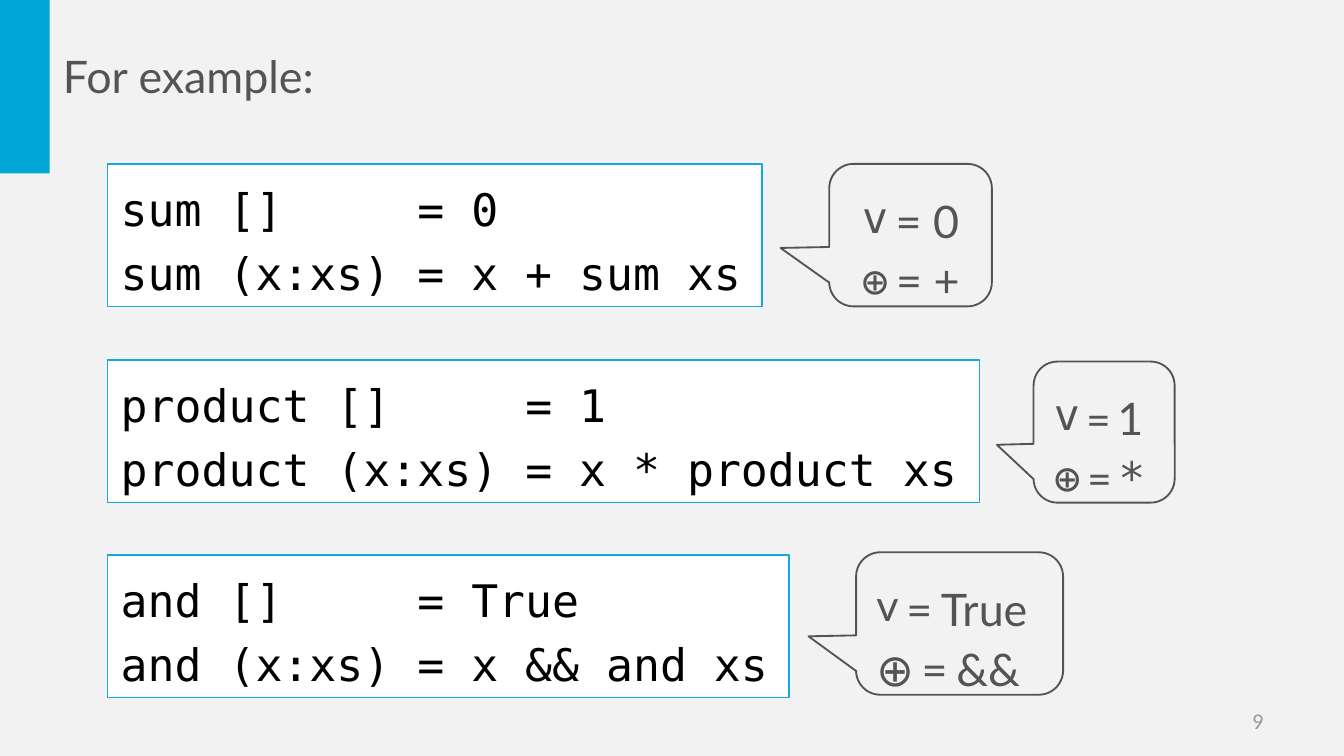
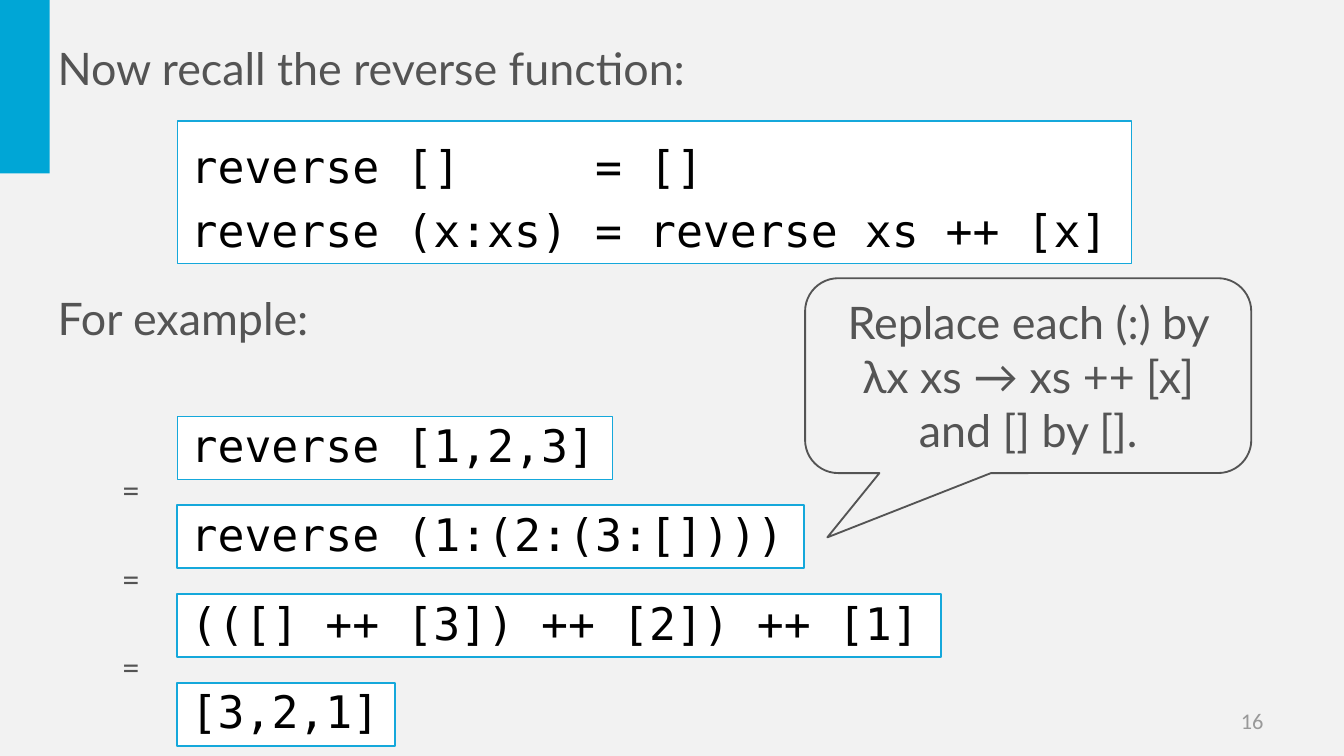
import pptx
import pptx.util
import pptx.dml.color
import pptx.enum.shapes
import pptx.enum.text
from dataclasses import dataclass

Inches = pptx.util.Inches
Pt = pptx.util.Pt
SHAPE = pptx.enum.shapes.MSO_SHAPE
ALIGN = pptx.enum.text.PP_ALIGN


@dataclass(frozen=True)
class Theme:
    page: str = "F2F2F2"
    band: str = "00A6D6"
    border: str = "15A8DB"
    paper: str = "FFFFFF"
    code: str = "000000"
    text: str = "545454"
    number: str = "999999"
    body_font: str = "Lato"
    mono_font: str = "DejaVu Sans Mono"
    plain_font: str = "Calibri"
    large: int = 24
    symbol: int = 40
    small: int = 18
    tiny: int = 12


T = Theme()


def rgb(color):
    return pptx.dml.color.RGBColor.from_string(color)


# Shared helpers: boxes are (left, top, width, height) in inches

def add_box(shapes, box, preset=None, fill=None, line=None, weight=0.75):
    lengths = [Inches(v) for v in box]
    if preset is None:
        return shapes.add_textbox(*lengths)
    sp = shapes.add_shape(preset, *lengths)
    sp.shadow.inherit = False
    if fill:
        sp.fill.solid()
        sp.fill.fore_color.rgb = rgb(fill)
    else:
        sp.fill.background()
    if line:
        sp.line.color.rgb = rgb(line)
        sp.line.width = Pt(weight)
    else:
        sp.line.fill.background()
    return sp


def write(sp, paragraphs, color=T.text, align=ALIGN.LEFT, spacing=None,
          wrap=True, grow=True):
    """Each paragraph is a list of runs: (text, size, font[, baseline])."""
    tf = sp.text_frame
    tf.word_wrap = wrap
    tf.vertical_anchor = pptx.enum.text.MSO_ANCHOR.MIDDLE
    fit = pptx.enum.text.MSO_AUTO_SIZE
    tf.auto_size = fit.SHAPE_TO_FIT_TEXT if grow else fit.NONE
    for i, runs in enumerate(paragraphs):
        p = tf.paragraphs[0] if i == 0 else tf.add_paragraph()
        p.alignment = align
        if spacing:
            p.line_spacing = spacing
        for text, size, font, *baseline in runs:
            r = p.add_run()
            r.text = text
            r.font.size = Pt(size)
            r.font.name = font
            r.font.color.rgb = rgb(color)
            if baseline:
                r._r.get_or_add_rPr().set("baseline", str(baseline[0] * 1000))


def add_heading(shapes, box, text, wrap=True):
    write(add_box(shapes, box), [[(text, T.large, T.body_font)]], wrap=wrap)


def add_code(shapes, box, lines, spacing=1.2, weight=0.75):
    sp = add_box(shapes, box, SHAPE.RECTANGLE, T.paper, T.border, weight)
    write(sp, [[(line, T.large, T.mono_font)] for line in lines],
          T.code, spacing=spacing, wrap=False)


def add_callout(shapes, box, tip, paragraphs, align, wrap=False):
    sp = add_box(shapes, box, SHAPE.ROUNDED_RECTANGULAR_CALLOUT,
                 line=T.text, weight=1)
    for i, value in enumerate((*tip, 0.17)):
        sp.adjustments[i] = value
    write(sp, paragraphs, align=align, wrap=wrap)


def add_page(prs, number):
    """Blank slide with the side band and the page number."""
    shapes = prs.slides.add_slide(prs.slide_layouts[6]).shapes
    add_box(shapes, (0, 0, 0.37, 1.29), SHAPE.RECTANGLE, T.band)
    write(add_box(shapes, (7.17, 5.21, 2.33, 0.3)),
          [[(str(number), T.tiny, T.plain_font)]],
          T.number, ALIGN.RIGHT, grow=False)
    return shapes


# Slide 1: definitions, each with its values of v and ⊕

def binding(symbol_run, value_runs):
    return [symbol_run, (" ", T.small, T.plain_font), *value_runs]


def split_value(value, equals_font, value_font):
    return [("=", T.large, equals_font), (" ", T.small, equals_font),
            (value, T.large, value_font)]


def add_definition(shapes, box, lines, callout_box, tip, v_runs, op_runs,
                   symbol_font=T.mono_font, align=ALIGN.LEFT):
    """Code box, and a callout placed relative to its top right corner."""
    left, top, width, _ = box
    dx, dy, w, h = callout_box
    add_code(shapes, box, lines)
    add_callout(shapes, (left + width + dx, top + dy, w, h), tip, [
        binding(("v", T.symbol, symbol_font, 6), v_runs),
        binding(("⊕", T.large, symbol_font), op_runs),
    ], align)


def build_examples(prs):
    shapes = add_page(prs, 9)
    add_heading(shapes, (0.37, 0.31, 8.86, 0.5), "For example:")
    lato, mono, plain = T.body_font, T.mono_font, T.plain_font
    add_definition(
        shapes, (0.8, 1.22, 4.87, 1.06),
        ["sum []     = 0", "sum (x:xs) = x + sum xs"],
        (0.5, 0, 1.21, 1.06), (-0.8, 0.09),
        [("= 0", T.large, lato)], [("= +", T.large, lato)],
        align=ALIGN.CENTER)
    add_definition(
        shapes, (0.8, 2.68, 6.49, 1.06),
        ["product []     = 1", "product (x:xs) = x * product xs"],
        (0.4, 0.01, 1.05, 1.05), (-0.76, 0.09),
        split_value("1", plain, lato), split_value("*", plain, mono))
    add_definition(
        shapes, (0.8, 4.13, 5.07, 1.06),
        ["and []     = True", "and (x:xs) = x && and xs"],
        (0.5, -0.02, 1.54, 1.06), (-0.73, 0.09),
        split_value("True", lato, lato), split_value("&&", lato, lato),
        symbol_font=lato)


# Slide 2: the reverse function, evaluated step by step

def add_derivation(shapes, box, pitch, steps):
    """Stack of code boxes; every step after the first has an equals sign."""
    left, top, _, height = box
    for i, (code, width) in enumerate(steps):
        y = top + i * pitch
        group = shapes.add_group_shape().shapes if i else shapes
        add_code(group, (left, y, width, height), [code], 0.9,
                 1 if i else 0.75)
        if i:
            sp = add_box(group, (left - 0.51, y - 0.32, 0.33, 0.4))
            write(sp, [[("=", T.small, T.plain_font)]],
                  align=ALIGN.CENTER, wrap=False)


def build_reverse(prs):
    shapes = add_page(prs, 16)
    add_heading(shapes, (0.33, 0.25, 8.97, 0.5),
                "Now recall the reverse function:")
    add_code(shapes, (1.32, 0.9, 7.1, 1.06),
             ["reverse []     = []", "reverse (x:xs) = reverse xs ++ [x]"])
    add_derivation(shapes, (1.32, 3.1, 5.68, 0.47), 0.66, [
        ("reverse [1,2,3]", 3.24),
        ("reverse (1:(2:(3:[])))", 4.66),
        ("(([] ++ [3]) ++ [2]) ++ [1]", 5.68),
        ("[3,2,1]", 1.62),
    ])
    add_heading(shapes, (0.33, 2.11, 2.14, 0.5), "For example:", wrap=False)
    add_callout(shapes, (5.99, 2.07, 3.32, 1.45), (-0.45, 0.83), [[
        ("Replace each (:) by λx xs → xs ++ [x] and [] by [].",
         T.large, T.body_font)]], ALIGN.CENTER, wrap=True)


def main():
    prs = pptx.Presentation()
    # 16:9 page
    prs.slide_width = Inches(10)
    prs.slide_height = Inches(10 * 9 / 16)
    background = prs.slide_master.background.fill
    background.solid()
    background.fore_color.rgb = rgb(T.page)
    build_examples(prs)
    build_reverse(prs)
    prs.save("out.pptx")


if __name__ == "__main__":
    main()
